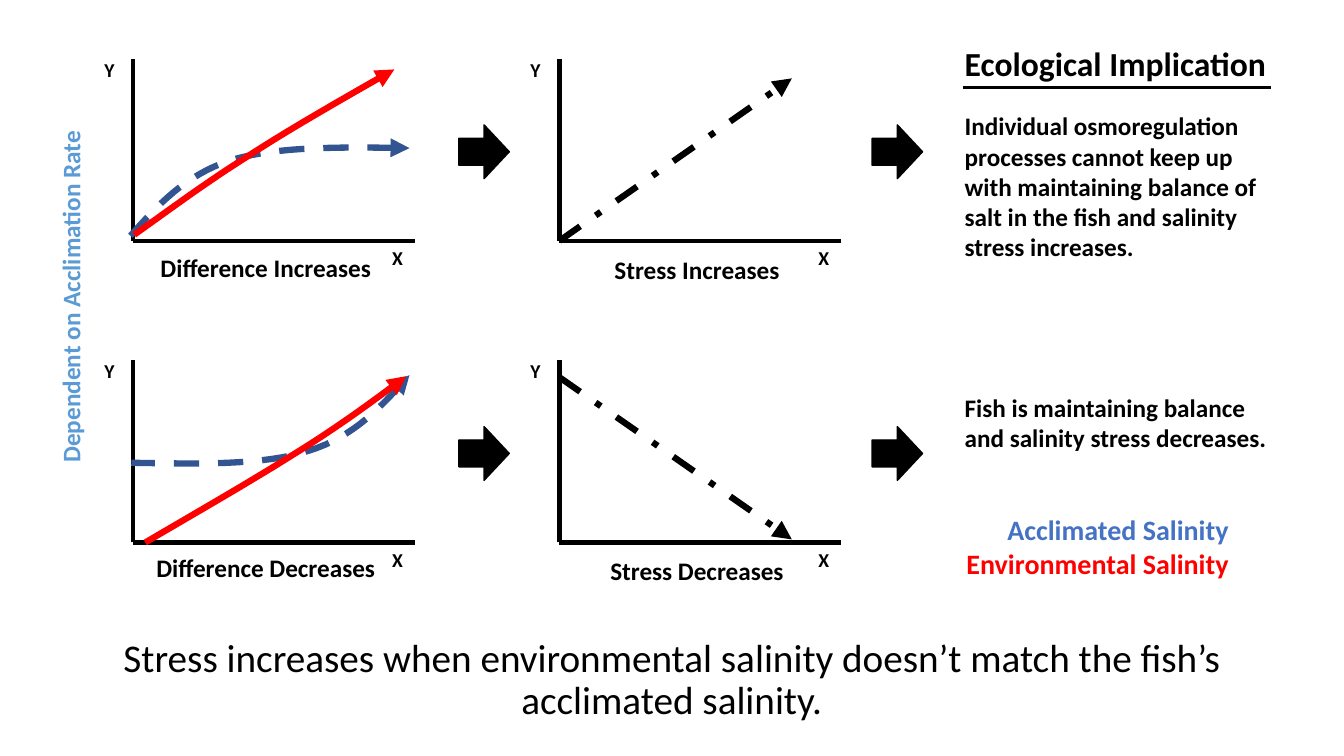
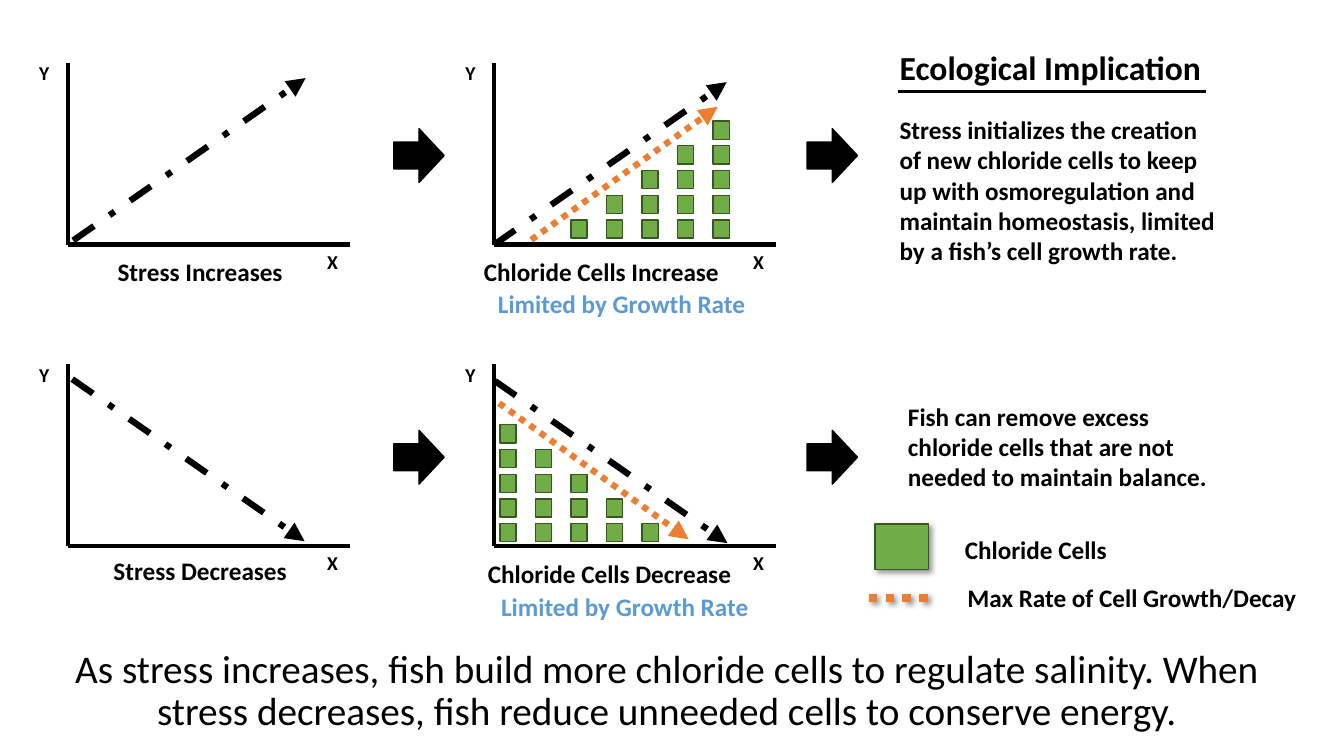
from itertools import product

from lxml import etree
from pptx import Presentation
from pptx.dml.color import RGBColor
from pptx.enum import dml, shapes, text
from pptx.oxml.ns import qn
from pptx.util import Pt

FONT = "Calibri"
BLACK, RED, NAVY, BLUE = "000000", "FF0000", "325491", "4472C4"
SKY, ORANGE, GREEN, DARK_GREEN = "5B9BD5", "ED7D31", "70AD47", "385723"
DASH, DASH_DOT = dml.MSO_LINE.DASH, dml.MSO_LINE.DASH_DOT
DOTS = dml.MSO_LINE.ROUND_DOT
LEFT, CENTER, RIGHT = (text.PP_ALIGN.LEFT, text.PP_ALIGN.CENTER,
                       text.PP_ALIGN.RIGHT)

# Chart grid: distances between chart origins, axis lengths
COL_STEP, ROW_STEP = 304.4, 215.5
AXIS_W, AXIS_H = 201.3, 130
CURVE_STEPS = 16


def rgb(color):
    return RGBColor.from_string(color)


def set_effects(s, shadow=False):
    """Drop the theme shadow; optionally give a soft one of its own."""
    effects = etree.SubElement(s._element.spPr, qn("a:effectLst"))
    if shadow:
        outer = etree.SubElement(effects, qn("a:outerShdw"), blurRad="50800",
                                 dist="38100", dir="2700000", algn="tl",
                                 rotWithShape="0")
        color = etree.SubElement(outer, qn("a:srgbClr"), val=BLACK)
        etree.SubElement(color, qn("a:alpha"), val="40000")


def set_line(s, color, width, dash=None, arrow=None):
    """arrow is headEnd (at the start) or tailEnd (at the finish)."""
    s.line.color.rgb = rgb(color)
    s.line.width = Pt(width)
    if dash:
        s.line.dash_style = dash
    if arrow:
        etree.SubElement(s.line._get_or_add_ln(), qn("a:" + arrow),
                         type="triangle")


def format_paragraph(p, content, size=18, color=BLACK, bold=True, align=LEFT):
    p.alignment = align
    r = p.add_run()
    r.text = content
    r.font.name = FONT
    r.font.size = Pt(size)
    r.font.bold = bold
    r.font.color.rgb = rgb(color)


def add_text(slide, content, x, y, w, h=29, rotation=0, **style):
    s = slide.shapes.add_textbox(Pt(x), Pt(y), Pt(w), Pt(h))
    s.rotation = rotation
    s.text_frame.word_wrap = True
    format_paragraph(s.text_frame.paragraphs[0], content, **style)
    return s


def add_title(prs, content, x, y, w, h=104.4):
    slide = prs.slides.add_slide(prs.slide_layouts[5])
    s = slide.shapes.title
    s.left, s.top, s.width, s.height = Pt(x), Pt(y), Pt(w), Pt(h)
    tf = s.text_frame
    tf.auto_size = text.MSO_AUTO_SIZE.NONE
    tf.vertical_anchor = text.MSO_ANCHOR.MIDDLE
    p = tf.paragraphs[0]
    p.line_spacing = 0.9
    format_paragraph(p, content, size=28, bold=False, align=CENTER)
    return slide


def add_line(slide, start, end, color=BLACK, width=3, shadow=False, **style):
    s = slide.shapes.add_connector(shapes.MSO_CONNECTOR.STRAIGHT,
                                   *map(Pt, (*start, *end)))
    set_line(s, color, width, **style)
    set_effects(s, shadow)


def add_block(slide, kind, x, y, w, h, fill, outline, shadow=False):
    s = slide.shapes.add_shape(kind, Pt(x), Pt(y), Pt(w), Pt(h))
    s.fill.solid()
    s.fill.fore_color.rgb = rgb(fill)
    set_line(s, outline, 1)
    set_effects(s, shadow)


def add_cell(slide, x, y, w=11.5, h=13, shadow=False):
    add_block(slide, shapes.MSO_SHAPE.RECTANGLE, x, y, w, h, GREEN,
              DARK_GREEN, shadow)


def bezier(a, b, c, d):
    """Points along a cubic curve, without its first point."""
    for i in range(1, CURVE_STEPS + 1):
        t = i / CURVE_STEPS
        weights = ((1 - t) ** 3, 3 * t * (1 - t) ** 2,
                   3 * t * t * (1 - t), t ** 3)
        yield tuple(sum(k * v for k, v in zip(weights, axis))
                    for axis in zip(a, b, c, d))


def add_curve(slide, origin, knots, color, **style):
    """Two joined cubic curves, with knots relative to a chart origin."""
    points = [knots[0], *bezier(*knots[:4]), *bezier(*knots[3:])]
    places = [(Pt(origin[0] + x), Pt(origin[1] + y)) for x, y in points]
    builder = slide.shapes.build_freeform(*places[0])
    builder.add_line_segments(places[1:], close=False)
    s = builder.convert_to_shape()
    s.fill.background()
    set_line(s, color, 4.5, **style)
    set_effects(s)


def add_chart_line(slide, origin, start, end, color=BLACK, dash=DASH_DOT):
    x, y = origin
    add_line(slide, (x + start[0], y + start[1]), (x + end[0], y + end[1]),
             color, 4.5, dash=dash, arrow="tailEnd")


def add_stress_line(slide, origin, rising, dx=0, dy=0):
    y1, y2 = (0, -116) if rising else (-118, -2.2)
    add_chart_line(slide, origin, (dx, y1 + dy), (166 + dx, y2 + dy))


def add_caption(slide, origin, content, dx, dy):
    add_text(slide, content, origin[0] + dx, origin[1] + dy, 311.8,
             align=CENTER)


def add_frame(slide, x, y, implication):
    """Axes, block arrows and implication panel; returns chart origins."""
    origins = [(x + col * COL_STEP, y + row * ROW_STEP)
               for row, col in product(range(2), repeat=2)]
    for ox, oy in origins:
        add_line(slide, (ox, oy), (ox, oy - AXIS_H))
        add_line(slide, (ox, oy), (ox + AXIS_W, oy))
        add_text(slide, "X", ox + 177.8, oy, 46.8, size=14)
        add_text(slide, "Y", ox - 27.8, oy - 134.4, 46.1, size=14)
    for row, dx in product(range(2), (232.6, 527.8)):
        add_block(slide, shapes.MSO_SHAPE.RIGHT_ARROW, x + dx,
                  y + row * ROW_STEP - 82.8, 36, 38.4, BLACK, BLACK)
    panel = x + 586.8
    add_text(slide, "Ecological Implication", panel, y - 144.7, 231.8, 36,
             size=24)
    add_line(slide, (panel + 5.8, y - 109.6), (panel + 226.1, y - 109.6),
             width=2.25)
    add_text(slide, implication, panel, y - 96.5, 242.6, 116.6)
    return origins


def add_staircase(slide, x, y, heights):
    """Columns of cells standing on a common base."""
    for col, height in enumerate(heights):
        for row in range(height):
            add_cell(slide, x + col * 25.4, y - row * 17.65)


def salinity_slide(prs):
    slide = add_title(prs, "Stress increases when environmental salinity "
                      "doesn’t match the fish’s acclimated salinity.",
                      80.6, 434.2, 798.5)
    diff_up, stress_up, diff_down, stress_down = add_frame(
        slide, 95.2, 172,
        "Individual osmoregulation processes cannot keep up with maintaining "
        "balance of salt in the fish and salinity stress increases.")
    add_text(slide, "Fish is maintaining balance and salinity stress "
             "decreases.", 682, 276.5, 242.6, 51)
    add_text(slide, "Dependent on Acclimation Rate", -76.3, 197.6, 253.4,
             rotation=270, color=SKY, align=CENTER)

    # Captions and stress trends
    add_caption(slide, diff_up, "Difference Increases", -61.2, 4.5)
    add_caption(slide, diff_down, "Difference Decreases", -61.2, 3.5)
    add_caption(slide, stress_up, "Stress Increases", -57.6, 6.3)
    add_caption(slide, stress_down, "Stress Decreases", -57.6, 5.7)
    add_stress_line(slide, stress_up, True)
    add_stress_line(slide, stress_down, False)

    # Acclimated and environmental salinity curves
    add_curve(slide, diff_up,
              [(-2, -3.6), (17.3, -25.2), (36.7, -46.8), (69.8, -57.6),
               (103, -67.7), (149.8, -67), (197.3, -66.2)],
              NAVY, dash=DASH, arrow="tailEnd")
    add_curve(slide, diff_up,
              [(0.7, -4.3), (26, -22.3), (51, -41), (82, -60.5),
               (113, -80.6), (149.8, -101.5), (186.5, -122.4)],
              RED, arrow="tailEnd")
    add_curve(slide, diff_down,
              [(197.3, -119.5), (177.8, -97.9), (158.4, -75.6),
               (125.3, -65.5), (92.2, -54.7), (45.4, -56.2), (-1.4, -56.9)],
              NAVY, dash=DASH, arrow="headEnd")
    add_curve(slide, diff_down,
              [(195, -118.8), (170, -100), (144.7, -81.4), (113, -62),
               (82, -42.5), (45.4, -21.6), (8.6, 0)],
              RED, arrow="headEnd")

    # Legend
    s = add_text(slide, "Acclimated Salinity", 681.8, 362.9, 203, 55.4,
                 size=20, color=BLUE, align=RIGHT)
    format_paragraph(s.text_frame.add_paragraph(), "Environmental Salinity",
                     size=20, color=RED, align=RIGHT)


def chloride_slide(prs):
    slide = add_title(prs, "As stress increases, fish build more chloride "
                      "cells to regulate salinity. When stress decreases, "
                      "fish reduce unneeded cells to conserve energy.",
                      33.8, 442.1, 884.9)
    stress_up, cells_up, stress_down, cells_down = add_frame(
        slide, 48.7, 174.7,
        "Stress initializes the creation of new chloride cells to keep up "
        "with osmoregulation and maintain homeostasis, limited by a fish’s "
        "cell growth rate.")
    add_text(slide, "Fish can remove excess chloride cells that are not "
             "needed to maintain balance.", 641.5, 283, 242.6, 72.7)

    # Captions
    add_caption(slide, stress_up, "Stress Increases", -61.6, 4.5)
    add_caption(slide, stress_down, "Stress Decreases", -61.6, 3)
    add_caption(slide, cells_up, "Chloride Cells Increase", -79.4, 4.5)
    add_caption(slide, cells_down, "Chloride Cells Decrease", -73.6, 5.2)
    for x, y in ((344, 202.3), (346.3, 418.5)):
        add_text(slide, "Limited by Growth Rate", x, y, 200, color=SKY,
                 align=CENTER)

    # Cells, stress trends and growth limits
    add_staircase(slide, cells_up[0] + 54.7, cells_up[1] - 17.6,
                  range(1, 6))
    add_staircase(slide, cells_down[0] + 4, cells_down[1] - 16.2,
                  range(5, 0, -1))
    add_stress_line(slide, stress_up, True, 3.6, -2.9)
    add_stress_line(slide, stress_down, False, 2.9, -1.4)
    add_stress_line(slide, cells_up, True)
    add_stress_line(slide, cells_down, False, 0.5)
    add_chart_line(slide, cells_up, (26.4, -3.4), (159.6, -98.4), ORANGE,
                   DOTS)
    add_chart_line(slide, cells_down, (3.4, -102.2), (138.8, -5), ORANGE,
                   DOTS)

    # Legend
    add_cell(slide, 625, 374.4, 38.2, 32.4, shadow=True)
    add_text(slide, "Chloride Cells", 681.1, 378, 116.6, align=RIGHT)
    add_line(slide, (620.6, 427), (666.7, 427), ORANGE, 6, shadow=True,
             dash=DOTS)
    add_text(slide, "Max Rate of Cell Growth/Decay", 681.1, 412.6, 252,
             align=RIGHT)


def main():
    prs = Presentation()
    prs.slide_width, prs.slide_height = Pt(960), Pt(540)
    salinity_slide(prs)
    chloride_slide(prs)
    prs.save("out.pptx")


if __name__ == "__main__":
    main()
